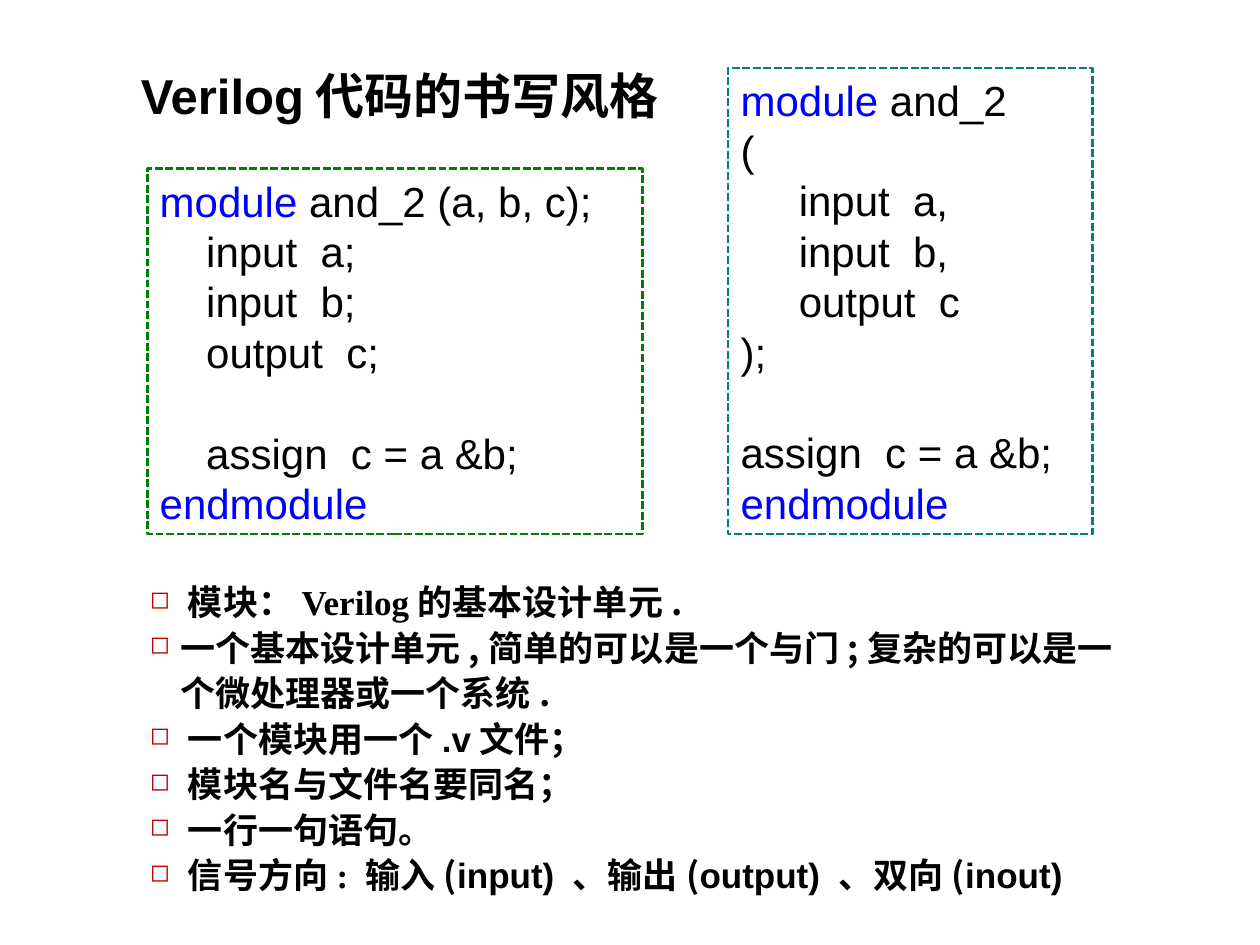
from dataclasses import dataclass

from lxml import etree
from pptx import Presentation
from pptx import util as u
from pptx.dml.color import RGBColor
from pptx.enum import dml, shapes, text
from pptx.oxml.ns import qn


@dataclass(frozen=True)
class Theme:
    ink: str = "000000"
    keyword: str = "0000FF"
    bullet: str = "C00000"
    paper: str = "FFFFFF"
    ports_after: str = "008000"
    ports_inline: str = "008080"
    latin: str = "Arial"
    serif: str = "Times New Roman"
    chinese: str = "Noto Sans CJK SC"
    title_size: int = 28
    code_size: int = 24
    body_size: int = 20
    code_leading: float = 28.8
    body_leading: int = 26


theme = Theme()


def write(paragraph, words, size, font=theme.latin, color=theme.ink, bold=False):
    """Append words to a paragraph in the given format."""
    run = paragraph.add_run()
    run.text = words
    run.font.size = u.Pt(size)
    run.font.name = font
    run.font.bold = bold
    run.font.color.rgb = RGBColor.from_string(color)
    east_asian = etree.Element(qn("a:ea"), typeface=theme.chinese)
    run.font._element.find(qn("a:latin")).addnext(east_asian)


def add_bullet(paragraph):
    """Give a paragraph a small hollow square and a hanging indent."""
    props = paragraph._p.get_or_add_pPr()
    props.set("marL", str(u.Cm(0.61)))
    props.set("indent", str(u.Cm(-0.61)))
    color = etree.SubElement(props, qn("a:buClr"))
    etree.SubElement(color, qn("a:srgbClr"), val=theme.bullet)
    etree.SubElement(props, qn("a:buSzPct"), val="70000")
    etree.SubElement(props, qn("a:buChar"), char="◻")


deck = Presentation()
deck.slide_width, deck.slide_height = u.Cm(25.4), u.Cm(19.05)
slide = deck.slides.add_slide(deck.slide_layouts[6])

# Title
title = slide.shapes.add_textbox(u.Cm(2.59), u.Cm(1.19), u.Cm(11.1), u.Cm(1.45))
title.text_frame.word_wrap = True
heading = title.text_frame.paragraphs[0]
for words, font in [("Verilog", theme.latin), ("代码的书写风格", theme.chinese)]:
    write(heading, words, theme.title_size, font=font, bold=True)

# Two ways to write the same module; None stands for an empty code line
listings = [
    ((2.97, 3.4, 9.98, 7.37), theme.ports_after, theme.paper,
     ["module and_2 (a, b, c);", "    input  a;", "    input  b;",
      "    output  c;", None, "    assign  c = a &b;", "endmodule"]),
    ((14.68, 1.37, 7.34, 9.4), theme.ports_inline, None,
     ["module and_2", "(", "     input  a,", "     input  b,",
      "     output  c", ");", None, "assign  c = a &b;", "endmodule"]),
]
for place, border, fill, code in listings:
    listing = slide.shapes.add_shape(
        shapes.MSO_SHAPE.RECTANGLE, *[u.Cm(length) for length in place])
    listing.shadow.inherit = False
    if fill:
        listing.fill.solid()
        listing.fill.fore_color.rgb = RGBColor.from_string(fill)
    else:
        listing.fill.background()
    listing.line.color.rgb = RGBColor.from_string(border)
    listing.line.width = u.Pt(1.5)
    listing.line.dash_style = dml.MSO_LINE.SQUARE_DOT
    frame = listing.text_frame
    frame.word_wrap = True
    frame.vertical_anchor = text.MSO_ANCHOR.MIDDLE if fill else text.MSO_ANCHOR.TOP
    for number, code_line in enumerate(code):
        if code_line is None:
            continue
        row = frame.add_paragraph() if number else frame.paragraphs[0]
        row.alignment = text.PP_ALIGN.LEFT
        row.line_spacing = u.Pt(theme.code_leading)
        if number and code[number - 1] is None:
            row.space_before = u.Pt(theme.code_leading)
        keyword = next((k for k in ("endmodule", "module") if code_line.startswith(k)), "")
        if keyword:
            write(row, keyword, theme.code_size, color=theme.keyword)
        if code_line != keyword:
            write(row, code_line[len(keyword):], theme.code_size)

# Style rules, each a list of words and font
rules = [
    [(" 模块", theme.chinese), ("：Verilog", theme.serif), ("的基本设计单元.", theme.chinese)],
    [("一个基本设计单元,简单的可以是一个与门;复杂的可以是一个微处理器或一个系统.", theme.chinese)],
    [(" 一个模块用一个", theme.chinese), (".v", theme.latin), ("文件；", theme.chinese)],
    [(" 模块名与文件名要同名；", theme.chinese)],
    [(" 一行一句语句。", theme.chinese)],
    [(" 信号方向", theme.chinese), (": ", theme.serif),
     ("输入(", theme.chinese), ("input) ", theme.latin),
     ("、输出(", theme.chinese), ("output) ", theme.latin),
     ("、双向(", theme.chinese), ("inout)", theme.latin)],
]
rule_box = slide.shapes.add_textbox(u.Cm(2.77), u.Cm(11.51), u.Cm(20.32), u.Cm(6.68))
rule_box.text_frame.word_wrap = True
for number, rule in enumerate(rules):
    item = rule_box.text_frame.add_paragraph() if number else rule_box.text_frame.paragraphs[0]
    add_bullet(item)
    item.line_spacing = u.Pt(theme.body_leading)
    for words, font in rule:
        write(item, words, theme.body_size, font=font, bold=True)

deck.save("out.pptx")
